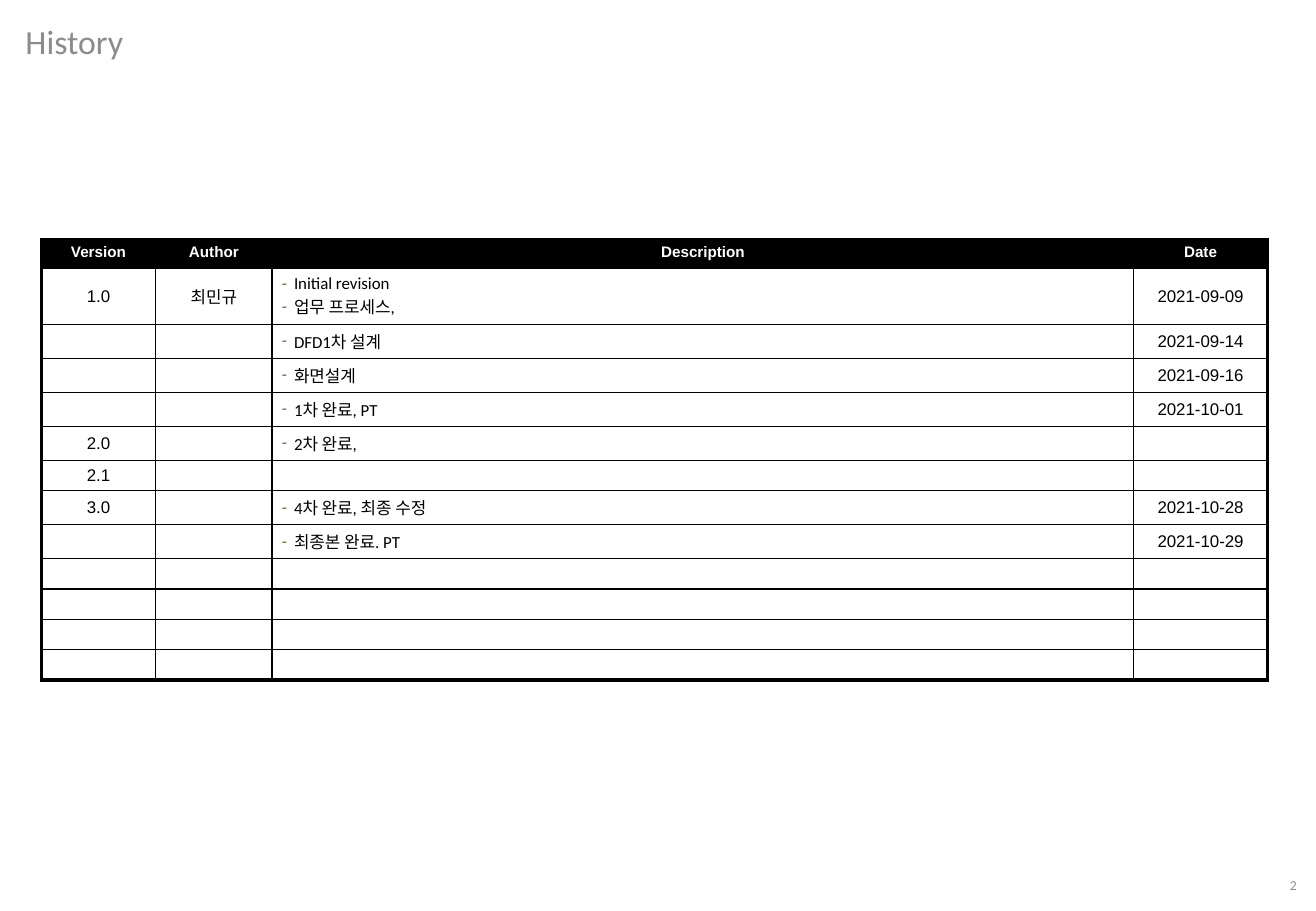
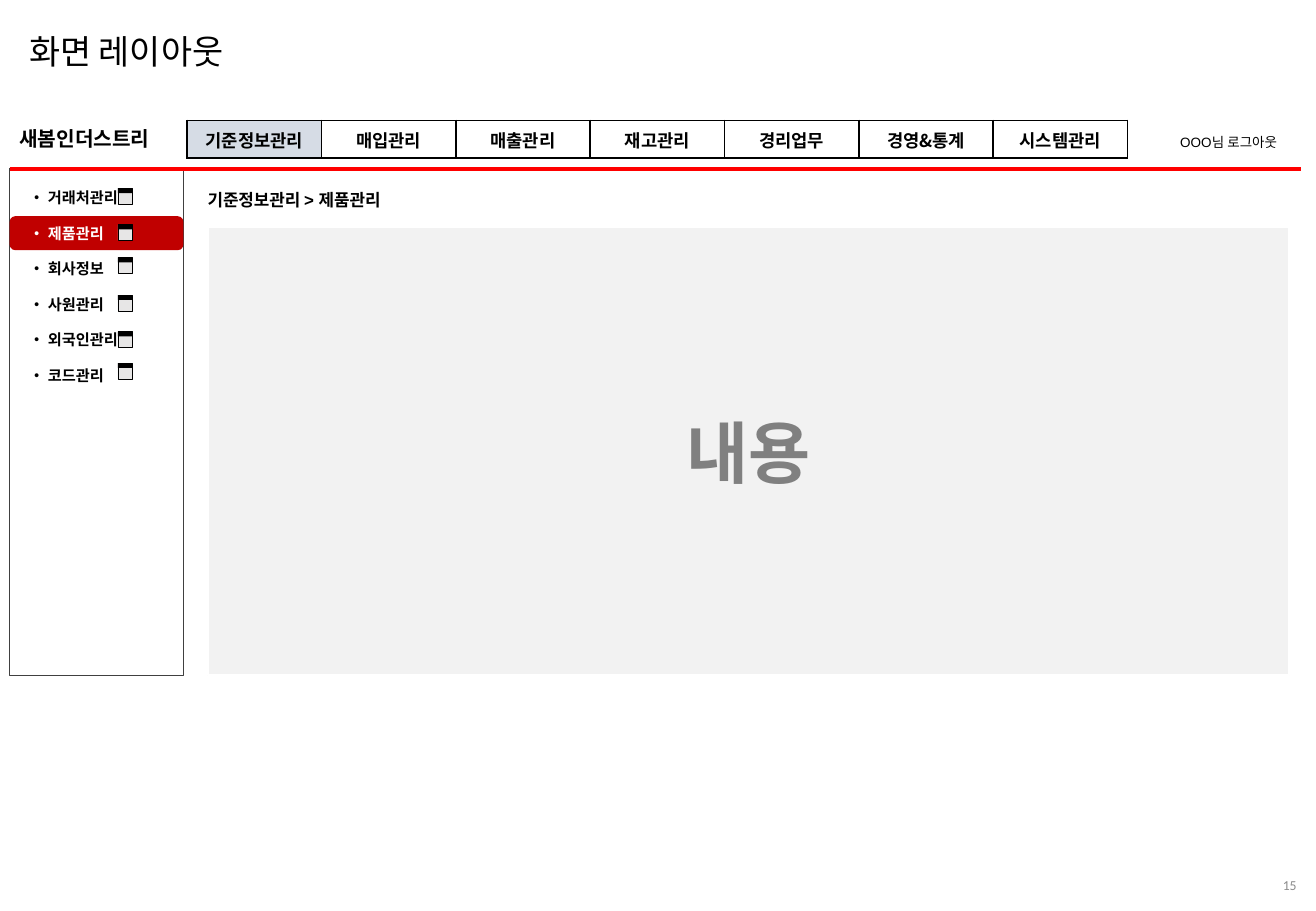
from dataclasses import dataclass
from typing import Optional

import lxml.etree
import pptx
import pptx.dml.color
import pptx.enum.shapes
import pptx.enum.text
import pptx.oxml.ns
import pptx.util

Inches = pptx.util.Inches
Pt = pptx.util.Pt
RGBColor = pptx.dml.color.RGBColor
Align = pptx.enum.text.PP_ALIGN
Anchor = pptx.enum.text.MSO_ANCHOR
Shape = pptx.enum.shapes.MSO_SHAPE
qn = pptx.oxml.ns.qn

BLACK = RGBColor(0, 0, 0)
WHITE = RGBColor(0xFF, 0xFF, 0xFF)
TITLE_GRAY = RGBColor(0x8E, 0x8A, 0x8A)
NUMBER_GRAY = RGBColor(0x8C, 0x8C, 0x8C)
BULLET_OLIVE = RGBColor(0x66, 0x66, 0x33)
RULE_RED = RGBColor(0xFF, 0, 0)
ACTIVE_RED = RGBColor(0xC0, 0, 0)
MENU_LINE = RGBColor(0x40, 0x40, 0x40)
ICON_GRAY = RGBColor(0xE7, 0xE6, 0xE6)
TAB_BLUE = RGBColor(0xD6, 0xDC, 0xE5)
CONTENT_GRAY = RGBColor(0xF2, 0xF2, 0xF2)
CONTENT_TEXT = RGBColor(0x80, 0x80, 0x80)

KOREAN_FONT = "Noto Sans CJK KR"
PLAIN_TABLE = "{2D5ABB26-0587-4C30-8999-92F81FD0307C}"
HISTORY_INSETS = (0.08, 0.04, 0.08, 0.04)
TIGHT_INSETS = (0.01, 0.01, 0.01, 0)
HEADER_HEIGHT = 0.24
NOTE_ROW_HEIGHTS = (0.25, 0.28, 0.46)
TITLE_ONLY = 5


@dataclass(frozen=True)
class Box:
    left: float
    top: float
    width: float
    height: float

    def lengths(self) -> tuple:
        return tuple(Inches(v) for v in (self.left, self.top, self.width, self.height))


@dataclass(frozen=True)
class TextStyle:
    size: float
    font: str
    color: RGBColor = BLACK
    bold: bool = False
    align: Align = Align.LEFT


@dataclass(frozen=True)
class Revision:
    version: str = ""
    author: str = ""
    notes: tuple = ()
    date: str = ""


@dataclass(frozen=True)
class MenuItem:
    label: str
    icon_top: float
    active: bool = False


HEADER = TextStyle(9, "Arial", WHITE, True, Align.CENTER)
CENTERED = TextStyle(10, "Arial", align=Align.CENTER)
NOTE = TextStyle(10, "Calibri")
MENU = TextStyle(9, "Calibri", bold=True)
ACTIVE_MENU = TextStyle(9, "Calibri", WHITE, True)
TAB = TextStyle(10.5, KOREAN_FONT, bold=True, align=Align.CENTER)

REVISIONS = [
    Revision("1.0", "최민규", ("Initial revision", "업무 프로세스,"), "2021-09-09"),
    Revision(notes=("DFD1차 설계",), date="2021-09-14"),
    Revision(notes=("화면설계",), date="2021-09-16"),
    Revision(notes=("1차 완료, PT",), date="2021-10-01"),
    Revision("2.0", notes=("2차 완료,",)),
    Revision("2.1"),
    Revision("3.0", notes=("4차 완료, 최종 수정",), date="2021-10-28"),
    Revision(notes=("최종본 완료. PT",), date="2021-10-29"),
] + [Revision()] * 4

MENU_ITEMS = [
    MenuItem("거래처관리", 1.55),
    MenuItem("제품관리", 1.85, True),
    MenuItem("회사정보", 2.12),
    MenuItem("사원관리", 2.43),
    MenuItem("외국인관리", 2.73),
    MenuItem("코드관리", 2.99),
]

TABS = ["기준정보관리", "매입관리", "매출관리", "재고관리", "경리업무", "경영&통계", "시스템관리"]


def write(para, text: str, style: TextStyle) -> None:
    para.alignment = style.align
    if not text:
        end = lxml.etree.SubElement(para._p, qn("a:endParaRPr"), sz=str(int(style.size * 100)))
        lxml.etree.SubElement(end, qn("a:latin"), typeface=style.font)
        return
    span = para.add_run()
    span.text = text
    span.font.size = Pt(style.size)
    span.font.name = style.font
    span.font.bold = style.bold
    span.font.color.rgb = style.color
    span.font._element.find(qn("a:latin")).addnext(
        lxml.etree.Element(qn("a:ea"), typeface=KOREAN_FONT))


def add_bullet(para, font: str) -> None:
    props = para._p.get_or_add_pPr()
    props.set("marL", str(Inches(0.1)))
    props.set("indent", str(Inches(-0.1)))
    color = lxml.etree.SubElement(props, qn("a:buClr"))
    lxml.etree.SubElement(color, qn("a:srgbClr"), val=str(BULLET_OLIVE))
    lxml.etree.SubElement(props, qn("a:buFont"), typeface=font)
    lxml.etree.SubElement(props, qn("a:buChar"), char="-")


def add_label(page, box: Box, text: str, style: TextStyle, wrap: bool = False,
              anchor: Anchor = Anchor.TOP, spacing: Optional[float] = None) -> None:
    frame = page.shapes.add_textbox(*box.lengths()).text_frame
    frame.word_wrap = wrap
    frame.vertical_anchor = anchor
    para = frame.paragraphs[0]
    if spacing:
        para.line_spacing = spacing
    write(para, text, style)


def add_block(page, box: Box, fill: RGBColor, line: Optional[RGBColor] = None,
              weight: float = 0.25, kind: Shape = Shape.RECTANGLE):
    block = page.shapes.add_shape(kind, *box.lengths())
    block.shadow.inherit = False
    block.fill.solid()
    block.fill.fore_color.rgb = fill
    if line is None:
        block.line.fill.background()
    else:
        block.line.color.rgb = line
        block.line.width = Pt(weight)
    return block


def add_plain_table(page, left: float, top: float, columns: list, rows: list):
    box = Box(left, top, sum(columns), sum(rows))
    holder = page.shapes.add_table(len(rows), len(columns), *box.lengths())
    holder._element.find(".//" + qn("a:tableStyleId")).text = PLAIN_TABLE
    table = holder.table
    table.first_row = table.horz_banding = False
    for column, width in zip(table.columns, columns):
        column.width = Inches(width)
    for row, height in zip(table.rows, rows):
        row.height = Inches(height)
    return table


def set_borders(cell, left: float = 1, right: float = 1, top: float = 1, bottom: float = 1) -> None:
    props = cell._tc.get_or_add_tcPr()
    for side, weight in zip("LRTB", (left, right, top, bottom)):
        edge = lxml.etree.SubElement(props, qn("a:ln" + side), w=str(Pt(weight)))
        fill = lxml.etree.SubElement(edge, qn("a:solidFill"))
        lxml.etree.SubElement(fill, qn("a:srgbClr"), val=str(BLACK))


def fill_cell(cell, lines: tuple, style: TextStyle, insets: tuple, fill: Optional[RGBColor] = None,
              anchor: Anchor = Anchor.MIDDLE, bulleted: bool = False) -> None:
    cell.margin_left, cell.margin_top, cell.margin_right, cell.margin_bottom = map(Inches, insets)
    cell.vertical_anchor = anchor
    if fill is None:
        cell.fill.background()
    else:
        cell.fill.solid()
        cell.fill.fore_color.rgb = fill
    for index, text in enumerate(lines or ("",)):
        para = cell.text_frame.add_paragraph() if index else cell.text_frame.paragraphs[0]
        write(para, text, style)
        if bulleted and text:
            add_bullet(para, style.font)


def add_page(deck, title: str, box: Box, style: TextStyle, number: int):
    page = deck.slides.add_slide(deck.slide_layouts[TITLE_ONLY])
    heading = page.shapes.title
    heading.left, heading.top, heading.width, heading.height = box.lengths()
    frame = heading.text_frame
    frame.auto_size = pptx.enum.text.MSO_AUTO_SIZE.NONE
    frame.vertical_anchor = Anchor.TOP
    write(frame.paragraphs[0], title, style)
    add_label(page, Box(8.33, 7.09, 2.44, 0.4), str(number),
              TextStyle(8.1, "Calibri", NUMBER_GRAY, align=Align.RIGHT), True, Anchor.MIDDLE)
    return page


def build_history(deck) -> None:
    page = add_page(deck, "History", Box(0.11, 0.12, 2.77, 0.44),
                    TextStyle(20, "Calibri", TITLE_GRAY), 2)
    heights = [HEADER_HEIGHT] + [NOTE_ROW_HEIGHTS[len(item.notes)] for item in REVISIONS]
    table = add_plain_table(page, 0.34, 1.97, [0.94, 0.96, 7.09, 1.1], heights)
    last_row, last_column = len(heights) - 1, 3
    for row in range(len(heights)):
        for column in range(last_column + 1):
            set_borders(table.cell(row, column),
                        left=2.25 if column == 0 else 1,
                        right=2.25 if column == last_column else 1,
                        top=2.25 if row == 0 else 1,
                        bottom=2.25 if row == last_row else 1)
    for column, name in enumerate(("Version", "Author", "Description", "Date")):
        fill_cell(table.cell(0, column), (name,), HEADER, HISTORY_INSETS, BLACK, Anchor.TOP)
    for row, item in enumerate(REVISIONS, 1):
        for column, text in ((0, item.version), (1, item.author), (3, item.date)):
            fill_cell(table.cell(row, column), (text,), CENTERED, HISTORY_INSETS)
        fill_cell(table.cell(row, 2), item.notes, NOTE, HISTORY_INSETS, bulleted=True)


def add_menu(page) -> None:
    add_block(page, Box(0.08, 1.39, 1.43, 4.17), WHITE, MENU_LINE, 0.5)
    rule = page.shapes.add_connector(pptx.enum.shapes.MSO_CONNECTOR.STRAIGHT,
                                     Inches(0.08), Inches(1.39), Inches(10.71), Inches(1.39))
    rule.line.color.rgb = RULE_RED
    rule.line.width = Pt(2.25)
    lxml.etree.SubElement(rule._element.spPr, qn("a:effectLst"))
    add_block(page, Box(0.08, 1.78, 1.43, 0.28), ACTIVE_RED, kind=Shape.ROUNDED_RECTANGLE)
    for item in MENU_ITEMS:
        add_block(page, Box(0.97, item.icon_top, 0.12, 0.13), ICON_GRAY, BLACK)
        add_block(page, Box(0.97, item.icon_top, 0.12, 0.04), BLACK)
    table = add_plain_table(page, 0.23, 1.47, [1.02], [2.05 / 7] * (len(MENU_ITEMS) + 1))
    for row, item in enumerate(MENU_ITEMS):
        fill_cell(table.cell(row, 0), ("• " + item.label,),
                  ACTIVE_MENU if item.active else MENU, TIGHT_INSETS)
    fill_cell(table.cell(len(MENU_ITEMS), 0), (), MENU, TIGHT_INSETS)


def build_screen_layout(deck) -> None:
    page = add_page(deck, "화면 레이아웃", Box(0.14, 0.2, 1.98, 0.44), TextStyle(20, "Arial"), 15)
    add_menu(page)
    add_label(page, Box(9.54, 0.99, 1.07, 0.28), "OOO님 로그아웃",
              TextStyle(8, "Arial", align=Align.RIGHT), spacing=1.5)
    add_label(page, Box(1.61, 1.51, 1.8, 0.27), "기준정보관리 > 제품관리",
              TextStyle(10, "Arial", bold=True))
    content = add_block(page, Box(1.71, 1.87, 8.9, 3.69), CONTENT_GRAY, WHITE, 1)
    content.text_frame.vertical_anchor = Anchor.MIDDLE
    write(content.text_frame.paragraphs[0], "내용",
          TextStyle(40, "Calibri", CONTENT_TEXT, True, Align.CENTER))
    add_label(page, Box(0.06, 0.99, 1.38, 0.3), "새봄인더스트리", TextStyle(12, "Arial", bold=True))
    tabs = add_plain_table(page, 1.54, 0.99, [7.74 / len(TABS)] * len(TABS), [0.31])
    for column, name in enumerate(TABS):
        cell = tabs.cell(0, column)
        set_borders(cell)
        fill_cell(cell, (name,), TAB, TIGHT_INSETS, WHITE if column else TAB_BLUE)


def main() -> None:
    deck = pptx.Presentation()
    deck.slide_width, deck.slide_height = Inches(10.83), Inches(7.5)
    build_history(deck)
    build_screen_layout(deck)
    deck.save("out.pptx")


if __name__ == "__main__":
    main()
